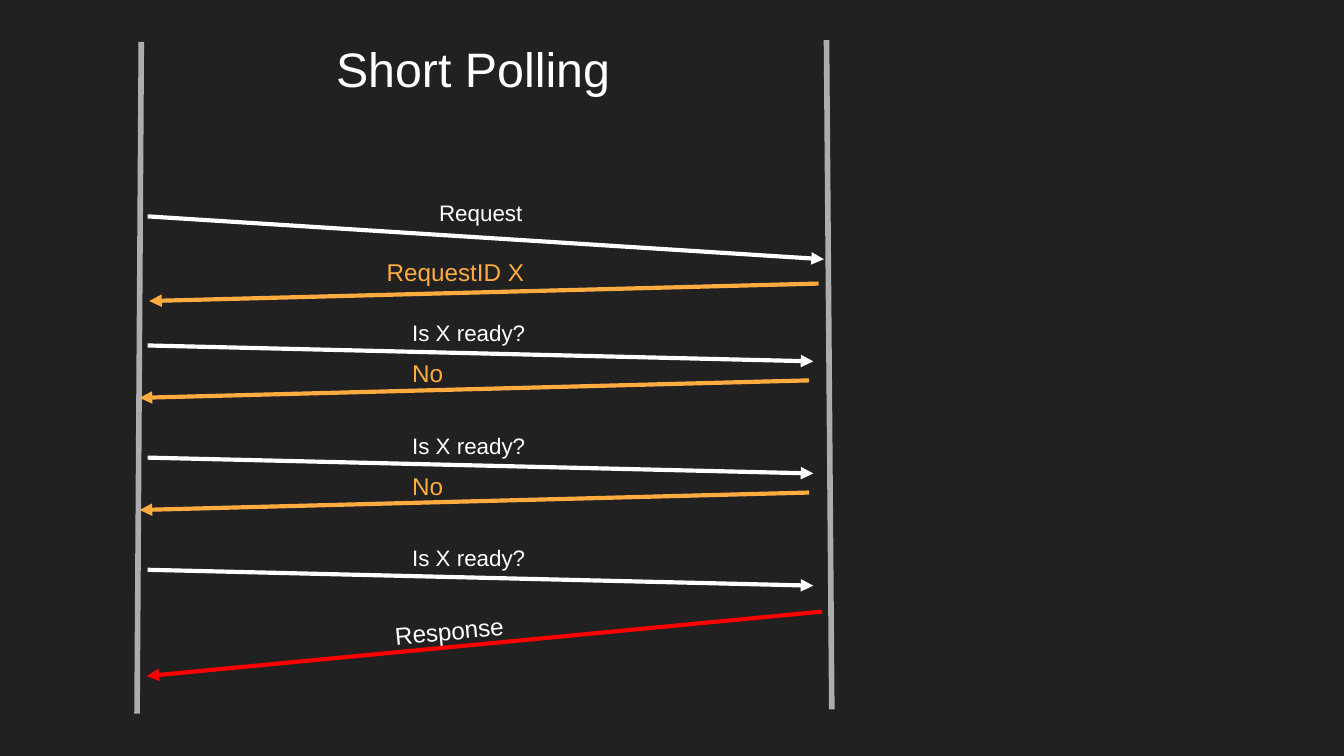
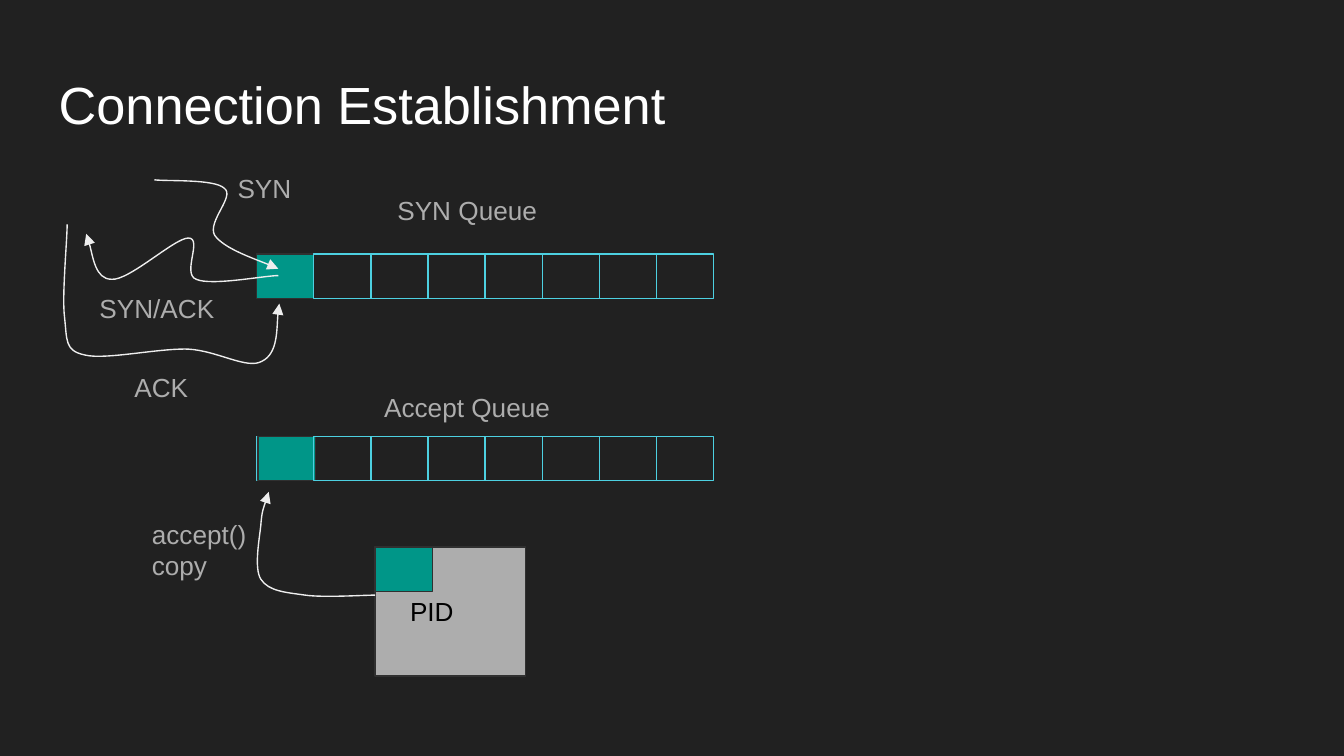
from dataclasses import dataclass

from lxml import etree
from pptx import Presentation
from pptx.dml.color import RGBColor
from pptx.enum import shapes, text
from pptx.oxml import ns
from pptx.util import Cm, Pt


# Theme: colours and type sizes
@dataclass(frozen=True)
class Theme:
    font: str = "Arial"
    background: str = "212121"
    white: str = "FFFFFF"
    black: str = "000000"
    grey: str = "ADADAD"
    orange: str = "FFAB40"
    red: str = "FF0000"
    teal: str = "009688"
    cyan: str = "4DD0E1"
    outline: str = "303030"
    curve: str = "EEEEEE"
    request_size: float = 12
    reply_size: float = 13
    label_size: float = 14
    polling_title_size: float = 25.9
    title_size: float = 28
    thin: float = 0.75
    arrow: float = 2.25
    lifeline: float = 3


THEME = Theme()


# Repeated elements; every length is in centimetres
@dataclass(frozen=True)
class Box:
    left: float
    top: float
    width: float
    height: float

    def lengths(self) -> tuple:
        return tuple(map(Cm, (self.left, self.top, self.width, self.height)))


@dataclass(frozen=True)
class Label:
    words: str
    box: Box
    size: float = THEME.label_size
    color: str = THEME.grey
    rotation: float = 0
    grow: bool = True


@dataclass(frozen=True)
class Message:
    start: tuple
    end: tuple
    color: str
    label: Label


@dataclass(frozen=True)
class Curve:
    start: tuple
    bends: tuple  # each bend: two control points and an end point


# Text
def write_text(frame, words: str, *, size: float, color: str,
               spacing: float | None = None, left_inset: float = 0.25,
               anchor=text.MSO_ANCHOR.TOP, grow: bool = False) -> None:
    frame.text = words
    frame.word_wrap = True
    frame.auto_size = (text.MSO_AUTO_SIZE.SHAPE_TO_FIT_TEXT if grow
                       else text.MSO_AUTO_SIZE.NONE)
    frame.vertical_anchor = anchor
    frame.margin_left = Cm(left_inset)
    frame.margin_top = frame.margin_right = frame.margin_bottom = Cm(0.25)
    for paragraph in frame.paragraphs:
        paragraph.alignment = text.PP_ALIGN.LEFT
        if spacing:
            paragraph.line_spacing = spacing
        paragraph.font.name = THEME.font
        paragraph.font.size = Pt(size)
        paragraph.font.color.rgb = RGBColor.from_string(color)


def add_label(slide, label: Label) -> None:
    caption = slide.shapes.add_textbox(*label.box.lengths())
    caption.rotation = label.rotation
    write_text(caption.text_frame, label.words, size=label.size,
               color=label.color, grow=label.grow)


def add_titled_slide(deck, words: str, box: Box, size: float):
    slide = deck.slides.add_slide(deck.slide_layouts.get_by_name("Title Only"))
    title = slide.shapes.title
    title.left, title.top, title.width, title.height = box.lengths()
    write_text(title.text_frame, words, size=size, color=THEME.white, spacing=0.9)
    return slide


# Lines and shapes
def style_line(outlined, color: str, width: float, arrow: bool = False) -> None:
    outlined.line.color.rgb = RGBColor.from_string(color)
    outlined.line.width = Pt(width)
    if arrow:
        ln = outlined._element.spPr.find(ns.qn("a:ln"))
        etree.SubElement(ln, ns.qn("a:tailEnd"), type="triangle")


def add_line(slide, start: tuple, end: tuple, color: str, width: float,
             arrow: bool = False) -> None:
    line = slide.shapes.add_connector(shapes.MSO_CONNECTOR.STRAIGHT,
                                      *map(Cm, start + end))
    style_line(line, color, width, arrow)
    etree.SubElement(line._element.spPr, ns.qn("a:effectLst"))


def add_message(slide, message: Message) -> None:
    add_line(slide, message.start, message.end, message.color, THEME.arrow, True)
    add_label(slide, message.label)


def add_rect(slide, box: Box, fill: str | None = None, line: str = THEME.outline):
    rect = slide.shapes.add_shape(shapes.MSO_SHAPE.RECTANGLE, *box.lengths())
    rect.shadow.inherit = False
    if fill:
        rect.fill.solid()
        rect.fill.fore_color.rgb = RGBColor.from_string(fill)
    else:
        rect.fill.background()
    style_line(rect, line, THEME.thin)
    return rect


def add_curve(slide, curve: Curve) -> None:
    points = [(Cm(bend[i]), Cm(bend[i + 1])) for bend in curve.bends for i in (0, 2, 4)]
    builder = slide.shapes.build_freeform(*map(Cm, curve.start))
    builder.add_line_segments(points, close=False)
    flow = builder.convert_to_shape()
    flow.shadow.inherit = False
    flow.fill.background()
    style_line(flow, THEME.curve, THEME.thin, arrow=True)
    # Merge every three straight segments into one cubic bend
    segments = list(flow._element.iter(ns.qn("a:lnTo")))
    for first in range(0, len(segments), 3):
        bend = etree.Element(ns.qn("a:cubicBezTo"))
        segments[first].addprevious(bend)
        for segment in segments[first:first + 3]:
            bend.append(segment[0])
            segment.getparent().remove(segment)


# Slide 1: messages between two lifelines
POLL_STEP = 2.12


def request(words: str, start: tuple, end: tuple, left: float, top: float) -> Message:
    return Message(start, end, THEME.white,
                   Label(words, Box(left, top, 2.87, 0.99), THEME.request_size,
                         THEME.white, grow=False))


def reply(words: str, start: tuple, end: tuple, left: float, top: float) -> Message:
    return Message(start, end, THEME.orange,
                   Label(words, Box(left, top, 3.2, 1.07), THEME.reply_size,
                         THEME.orange, grow=False))


def build_short_polling(deck) -> None:
    slide = add_titled_slide(deck, "Short Polling", Box(6.1, 0.61, 5.74, 1.6),
                             THEME.polling_title_size)
    for start, end in (((15.62, 0.76), (15.72, 13.41)), ((2.67, 0.79), (2.59, 13.49))):
        add_line(slide, start, end, THEME.grey, THEME.lifeline)

    messages = [
        request("Request", (2.79, 4.09), (15.57, 4.9), 8.05, 3.51),
        reply("RequestID X", (15.47, 5.36), (2.82, 5.69), 7.06, 4.62),
    ]
    for poll in range(3):
        drop = poll * POLL_STEP
        messages.append(request("Is X ready?", (2.79, 6.53 + drop),
                                (15.37, 6.83 + drop), 7.54, 5.79 + drop))
        if poll < 2:
            messages.append(reply("No", (15.29, 7.19 + drop),
                                  (2.64, 7.52 + drop), 7.54, 6.53 + drop))
    messages.append(Message((15.54, 11.56), (2.77, 12.78), THEME.red,
                            Label("Response", Box(7.21, 11.38, 2.87, 1.07),
                                  THEME.reply_size, THEME.white, 354.5, False)))
    for message in messages:
        add_message(slide, message)


# Slide 2: two queues and the handshake around them
CELL_WIDTH, CELL_HEIGHT, CELL_COUNT = 1.08, 0.84, 8
QUEUE_LEFT, SYN_TOP, ACCEPT_TOP = 4.85, 4.8, 8.25

QUEUE_LABELS = (
    Label("SYN Queue", Box(7.26, 3.43, 3.51, 1.09)),
    Label("Accept Queue", Box(7.01, 7.14, 4.72, 1.09)),
    Label("SYN", Box(4.24, 3, 1.63, 1.09)),
    Label("SYN/ACK", Box(1.63, 5.28, 2.97, 1.09)),
    Label("ACK", Box(2.29, 6.78, 1.63, 1.09)),
    Label("accept()\ncopy", Box(2.62, 9.55, 2.57, 1.7)),
)

SYN = Curve((2.92, 3.4), (
    (3.15, 3.43, 4.06, 3.38, 4.24, 3.56),
    (4.45, 3.71, 3.91, 4.19, 4.06, 4.45),
    (4.24, 4.7, 5.05, 4.98, 5.26, 5.08)))
SYN_ACK = Curve((5.26, 5.21), (
    (5, 5.21, 3.99, 5.41, 3.71, 5.28),
    (3.43, 5.18, 3.84, 4.5, 3.56, 4.5),
    (3.3, 4.5, 2.44, 5.31, 2.11, 5.28),
    (1.8, 5.28, 1.7, 4.55, 1.63, 4.42)))
ACK = Curve((1.27, 4.24), (
    (1.27, 4.55, 1.17, 5.59, 1.22, 5.99),
    (1.27, 6.43, 1.22, 6.63, 1.6, 6.71),
    (1.98, 6.81, 3, 6.58, 3.56, 6.6),
    (4.11, 6.63, 4.67, 6.99, 4.95, 6.83),
    (5.26, 6.68, 5.23, 5.92, 5.28, 5.74)))
ACCEPT_COPY = Curve((7.09, 11.25), (
    (6.86, 11.25, 6.12, 11.3, 5.77, 11.25),
    (5.41, 11.2, 5.08, 11.18, 4.93, 10.95),
    (4.8, 10.74, 4.9, 10.21, 4.93, 9.93),
    (4.95, 9.65, 5.05, 9.4, 5.08, 9.3)))


def cell(left: float, top: float) -> Box:
    return Box(left, top, CELL_WIDTH, CELL_HEIGHT)


def add_queue(slide, top: float, head_left: float) -> None:
    add_rect(slide, cell(head_left, top), THEME.teal)
    for place in range(1, CELL_COUNT):
        add_rect(slide, cell(QUEUE_LEFT + place * CELL_WIDTH, top), line=THEME.cyan)


def build_connection(deck) -> None:
    slide = add_titled_slide(deck, "Connection Establishment",
                             Box(0.86, 1.24, 12.4, 1.6), THEME.title_size)
    add_queue(slide, SYN_TOP, QUEUE_LEFT)
    add_rect(slide, cell(QUEUE_LEFT, ACCEPT_TOP), line=THEME.cyan)
    add_queue(slide, ACCEPT_TOP, QUEUE_LEFT + 0.03)

    # Process that holds the accepted connection
    process = add_rect(slide, Box(7.09, 10.34, 2.84, 2.44), THEME.grey)
    write_text(process.text_frame, "PID", size=THEME.label_size, color=THEME.black,
               left_inset=0.66, anchor=text.MSO_ANCHOR.MIDDLE)
    for curve in (SYN, SYN_ACK, ACK, ACCEPT_COPY):
        add_curve(slide, curve)
    for label in QUEUE_LABELS:
        add_label(slide, label)
    add_rect(slide, cell(7.09, 10.34), THEME.teal)


def main() -> None:
    deck = Presentation()
    deck.slide_width, deck.slide_height = Cm(25.4), Cm(14.29)
    backdrop = deck.slide_master.background.fill
    backdrop.solid()
    backdrop.fore_color.rgb = RGBColor.from_string(THEME.background)
    build_short_polling(deck)
    build_connection(deck)
    deck.save("out.pptx")


if __name__ == "__main__":
    main()
